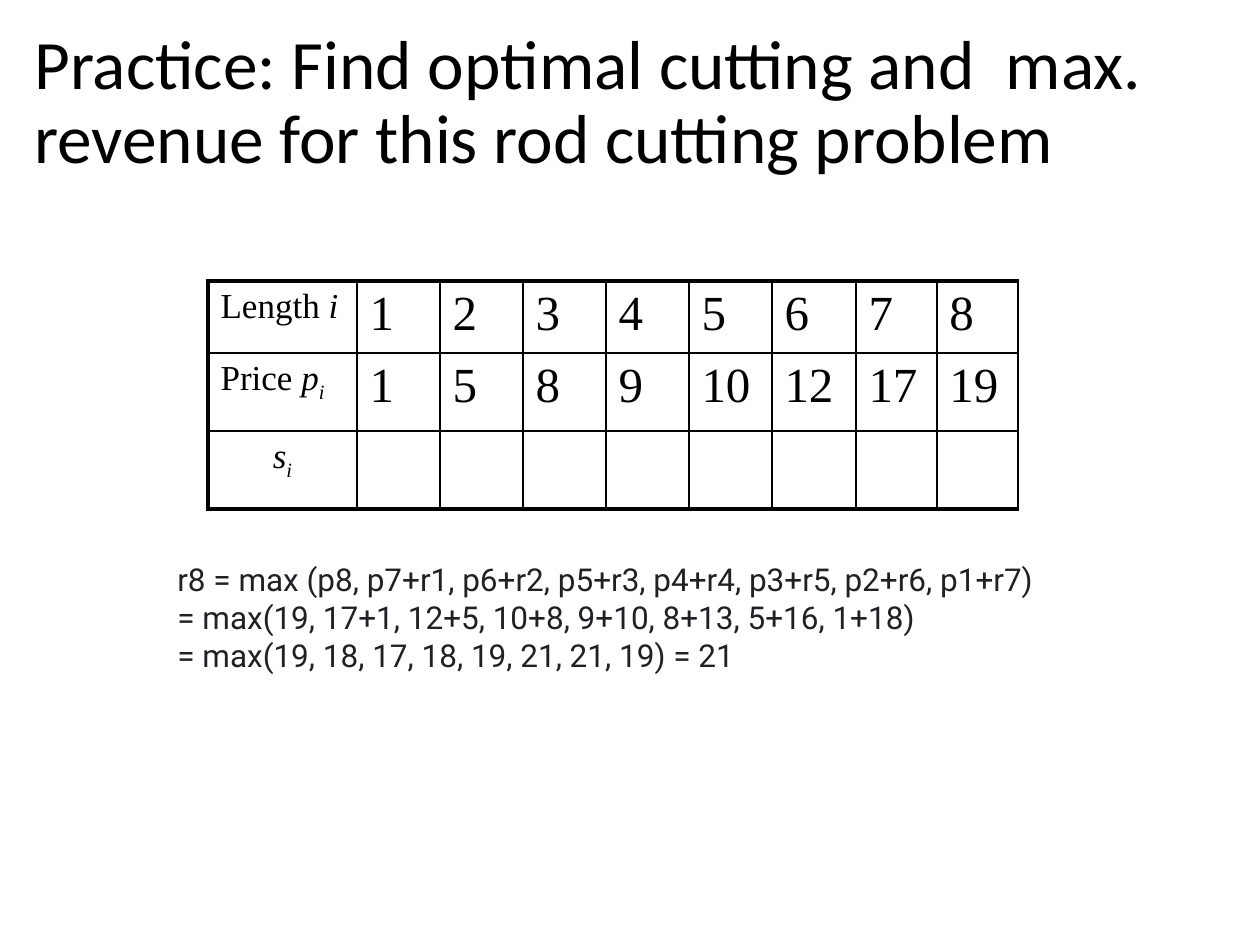
from lxml.etree import SubElement
from pptx import Presentation
from pptx.dml.color import RGBColor
from pptx.enum.text import MSO_ANCHOR, PP_ALIGN
from pptx.oxml.ns import qn
from pptx.util import Pt

PX = 914400 // 126
COLORS = {"ink": "000000", "formula": "202124"}
THIN, THICK = 1, 2.25

TITLE = "Practice: Find optimal cutting and  max. revenue for this rod cutting problem"
FORMULA = [
    "r8 = max (p8, p7+r1, p6+r2, p5+r3, p4+r4, p3+r5, p2+r6, p1+r7)",
    "= max(19, 17+1, 12+5, 10+8, 9+10, 8+13, 5+16, 1+18)",
    "= max(19, 18, 17, 18, 19, 21, 21, 19) = 21",
]

# Each row heading is a list of (text, style) runs
HEADINGS = [
    [("Length ", "plain"), ("i", "italic")],
    [("Price ", "plain"), ("p", "italic"), ("i", "subscript")],
    [("s", "italic"), ("i", "subscript")],
]
VALUES = [
    [1, 2, 3, 4, 5, 6, 7, 8],
    [1, 5, 8, 9, 10, 12, 17, 19],
    [""] * 8,
]
COLUMN_WIDTHS = [149] + [83] * 5 + [84, 81, 81]
ROW_HEIGHTS = [72, 78, 78]


def box(left, top, width, height):
    return [length * PX for length in (left, top, width, height)]


def format_run(run, font_name, size, color):
    run.font.name = font_name
    run.font.size = Pt(size)
    run.font.color.rgb = RGBColor.from_string(COLORS[color])


def add_text(slide, area, lines, font_name, size, color, line_spacing=None):
    text_frame = slide.shapes.add_textbox(*box(*area)).text_frame
    text_frame.word_wrap = True
    text_frame.vertical_anchor = MSO_ANCHOR.TOP
    text_frame.text = "\n".join(lines)
    for paragraph in text_frame.paragraphs:
        paragraph.line_spacing = line_spacing
        for run in paragraph.runs:
            format_run(run, font_name, size, color)


def set_borders(cell, widths):
    properties = cell._tc.get_or_add_tcPr()
    for side in ("L", "R", "T", "B"):
        line = SubElement(properties, qn(f"a:ln{side}"), w=str(Pt(widths[side])))
        fill = SubElement(line, qn("a:solidFill"))
        SubElement(fill, qn("a:srgbClr"), val=COLORS["ink"])
    cell.fill.background()


def fill_heading(cell, parts):
    paragraph = cell.text_frame.paragraphs[0]
    for text, style in parts:
        run = paragraph.add_run()
        run.text = text
        format_run(run, "Times New Roman", 20, "ink")
        run.font.italic = style != "plain"
        if style == "subscript":
            run._r.get_or_add_rPr().set("baseline", "-25000")


def fill_value(cell, value):
    cell.text_frame.text = str(value)
    for run in cell.text_frame.paragraphs[0].runs:
        format_run(run, "Times New Roman", 28, "ink")


def add_price_table(slide, left, top):
    area = box(left, top, sum(COLUMN_WIDTHS), sum(ROW_HEIGHTS))
    table = slide.shapes.add_table(len(ROW_HEIGHTS), len(COLUMN_WIDTHS), *area).table
    table.first_row = table.horz_banding = False
    for column, width in zip(table.columns, COLUMN_WIDTHS):
        column.width = width * PX
    for row, height in zip(table.rows, ROW_HEIGHTS):
        row.height = height * PX

    last_row = len(ROW_HEIGHTS) - 1
    for row_index, (heading, values) in enumerate(zip(HEADINGS, VALUES)):
        for column_index in range(len(COLUMN_WIDTHS)):
            cell = table.cell(row_index, column_index)
            if column_index == 0:
                fill_heading(cell, heading)
            else:
                fill_value(cell, values[column_index - 1])
            # Heavy outer frame on the left, top and bottom only
            set_borders(cell, {
                "L": THICK if column_index == 0 else THIN,
                "R": THIN,
                "T": THICK if row_index == 0 else THIN,
                "B": THICK if row_index == last_row else THIN,
            })
    table.cell(last_row, 0).text_frame.paragraphs[0].alignment = PP_ALIGN.CENTER


def main():
    presentation = Presentation()
    presentation.slide_width = 1260 * PX
    presentation.slide_height = 945 * PX
    slide = presentation.slides.add_slide(presentation.slide_layouts[6])

    # Title
    add_text(slide, (22, 23, 1212, 93), [TITLE], "Calibri", 39.6, "ink", 0.9)
    # Prices by rod length
    add_price_table(slide, 208, 281)
    # Worked revenue formula
    add_text(slide, (165, 554, 936, 127), FORMULA, "Roboto", 18, "formula")

    presentation.save("out.pptx")


if __name__ == "__main__":
    main()
